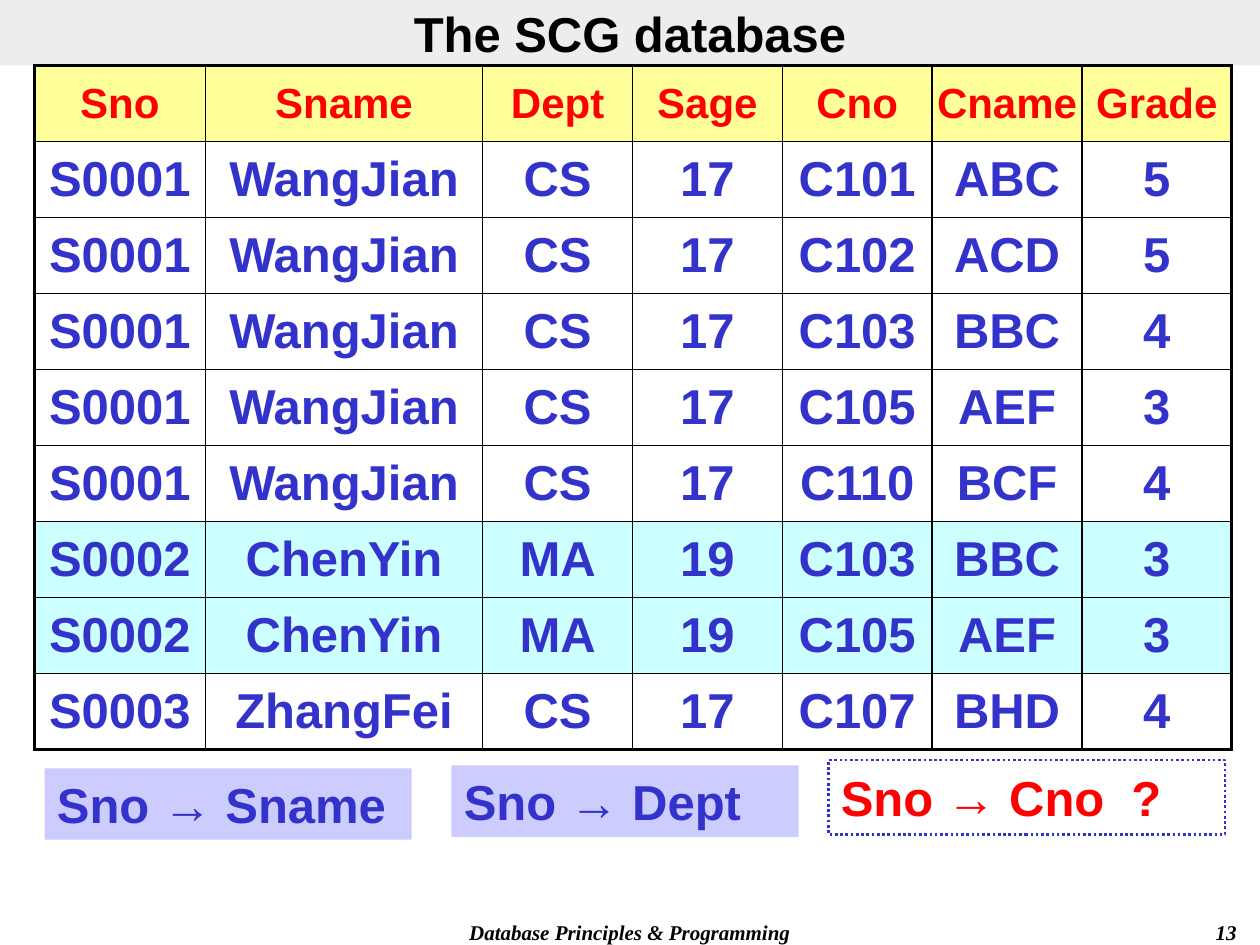
from lxml.etree import SubElement
from pptx import Presentation
from pptx.dml.color import RGBColor
from pptx.enum.dml import MSO_LINE
from pptx.enum.shapes import MSO_SHAPE
from pptx.enum.text import MSO_ANCHOR, MSO_AUTO_SIZE, PP_ALIGN
from pptx.oxml.ns import qn
from pptx.util import Cm, Pt

COLORS = {
    "ink": "000000", "band": "DDDDDD", "header": "FFFF99", "accent": "FF0000",
    "data": "3333CC", "highlight": "CCFFFF", "rule": "CCCCFF", "paper": "FFFFFF",
}
FORMATS = {
    "title": {"name": "Arial", "size": Pt(28), "bold": True, "color": "ink"},
    "header": {"name": "Arial", "size": Pt(24), "bold": True, "color": "accent"},
    "data": {"name": "Arial", "size": Pt(28), "bold": True, "color": "data"},
    "question": {"name": "Arial", "size": Pt(28), "bold": True, "color": "accent"},
    "footer": {"name": "Times New Roman", "size": Pt(12), "bold": True,
               "italic": True, "color": "ink"},
}
HEADINGS = ["Sno", "Sname", "Dept", "Sage", "Cno", "Cname", "Grade"]
STUDENTS = {
    "S0001": ("WangJian", "CS", "17"),
    "S0002": ("ChenYin", "MA", "19"),
    "S0003": ("ZhangFei", "CS", "17"),
}
GRADES = [
    ("S0001", "C101", "ABC", "5"),
    ("S0001", "C102", "ACD", "5"),
    ("S0001", "C103", "BBC", "4"),
    ("S0001", "C105", "AEF", "3"),
    ("S0001", "C110", "BCF", "4"),
    ("S0002", "C103", "BBC", "3"),
    ("S0002", "C105", "AEF", "3"),
    ("S0003", "C107", "BHD", "4"),
]
COLUMN_WIDTHS = [3.45, 5.59] + [3.02] * 5


def color(key):
    return RGBColor.from_string(COLORS[key])


def place(shape, box):
    for side, length in zip(("left", "top", "width", "height"), box):
        setattr(shape, side, Cm(length))


def write(frame, text, style, align):
    paragraph = frame.paragraphs[0]
    paragraph.alignment = align
    run = paragraph.add_run()
    run.text = text
    for attribute, value in FORMATS[style].items():
        if attribute == "color":
            run.font.color.rgb = color(value)
        else:
            setattr(run.font, attribute, value)


def add_title(slide, box, text):
    title = slide.shapes.title
    place(title, box)
    title.fill.solid()
    title.fill.fore_color.rgb = color("band")
    tint = title.fill._xPr.find(qn("a:solidFill"))[0]
    SubElement(tint, qn("a:alpha")).set("val", "50000")
    frame = title.text_frame
    frame.auto_size = MSO_AUTO_SIZE.NONE
    frame.vertical_anchor = MSO_ANCHOR.MIDDLE
    frame.margin_top = frame.margin_bottom = 0
    write(frame, text, "title", PP_ALIGN.CENTER)


def add_borders(cell, outer_sides):
    properties = cell._tc.get_or_add_tcPr()
    for side in "LRTB":
        width = Pt(2.25) if side in outer_sides else Pt(1)
        border = SubElement(properties, qn(f"a:ln{side}"), w=str(width))
        fill = SubElement(border, qn("a:solidFill"))
        SubElement(fill, qn("a:srgbClr"), val=COLORS["ink"])


def add_grade_table(slide, box):
    records = [HEADINGS] + [[sno, *STUDENTS[sno], *course] for sno, *course in GRADES]
    last_row, last_column = len(records) - 1, len(HEADINGS) - 1
    table = slide.shapes.add_table(
        len(records), len(HEADINGS), *map(Cm, box)).table
    table.first_row = table.horz_banding = False
    for column, width in zip(table.columns, COLUMN_WIDTHS):
        column.width = Cm(width)
    for r, record in enumerate(records):
        table.rows[r].height = Cm(box[3] / len(records))
        background = {"Sno": "header", "S0002": "highlight"}.get(record[0])
        for c, text in enumerate(record):
            cell = table.cell(r, c)
            for margin in ("left", "right", "top", "bottom"):
                setattr(cell, f"margin_{margin}", 0)
            cell.vertical_anchor = MSO_ANCHOR.MIDDLE
            edges = {"L": c == 0, "R": c == last_column, "T": r == 0, "B": r == last_row}
            add_borders(cell, [side for side, outer in edges.items() if outer])
            if background:
                cell.fill.solid()
                cell.fill.fore_color.rgb = color(background)
            else:
                cell.fill.background()
            write(cell.text_frame, text, "data" if r else "header", PP_ALIGN.CENTER)


def add_dependency(slide, box, text, style, background, dotted=False):
    dependency = slide.shapes.add_shape(MSO_SHAPE.RECTANGLE, *map(Cm, box))
    dependency.shadow.inherit = False
    dependency.fill.solid()
    dependency.fill.fore_color.rgb = color(background)
    if dotted:
        dependency.line.color.rgb = color("data")
        dependency.line.width = Pt(1.5)
        dependency.line.dash_style = MSO_LINE.ROUND_DOT
    else:
        dependency.line.fill.background()
    write(dependency.text_frame, text, style, PP_ALIGN.LEFT)


def add_footer(slide, box, text, align):
    frame = slide.shapes.add_textbox(*map(Cm, box)).text_frame
    frame.word_wrap = True
    write(frame, text, "footer", align)


presentation = Presentation()
presentation.slide_width, presentation.slide_height = Cm(25.4), Cm(19.05)
slide = presentation.slides.add_slide(presentation.slide_layouts[5])

add_title(slide, (0, 0, 25.4, 1.32), "The SCG database")
add_grade_table(slide, (0.69, 1.32, sum(COLUMN_WIDTHS), 13.79))
add_dependency(slide, (0.9, 15.49, 7.4, 1.44), "Sno → Sname", "data", "rule")
add_dependency(slide, (9.1, 15.43, 7, 1.44), "Sno → Dept", "data", "rule")
add_dependency(slide, (16.7, 15.32, 8, 1.5), "Sno → Cno  ?", "question", "paper", dotted=True)
add_footer(slide, (7.2, 18.41, 11, 0.64), "Database Principles & Programming", PP_ALIGN.CENTER)
add_footer(slide, (19.9, 18.41, 5.28, 0.64), "13", PP_ALIGN.RIGHT)

presentation.save("out.pptx")
